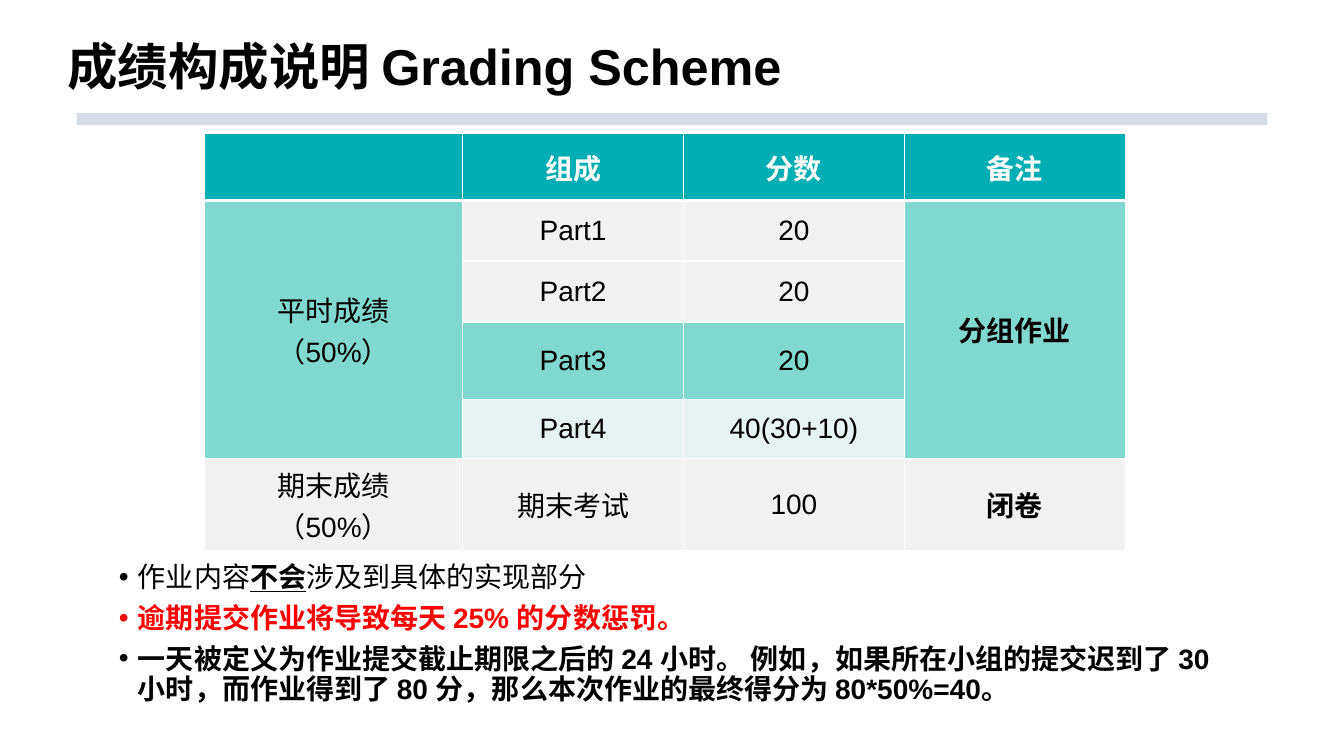
from dataclasses import dataclass

from lxml import etree
from pptx import Presentation
from pptx.dml.color import RGBColor
from pptx.enum import shapes, text
from pptx.oxml import ns
from pptx.util import Inches, Pt


@dataclass(frozen=True)
class Theme:
    """Colours, font and type sizes of the slide."""
    font: str = "Arial"
    title_size: int = 36
    body_size: int = 20
    ink: str = "000000"
    white: str = "FFFFFF"
    warning: str = "FF0000"
    rule: str = "D6DCE5"
    header: str = "00AEB3"
    accent: str = "81D8CF"
    plain: str = "F2F2F2"
    pale: str = "E7F2F2"


THEME = Theme()
COLUMN_WIDTHS = [2.56, 2.19, 2.19, 2.19]
GRADE_ROWS = [
    (0.67, THEME.header, ["", "组成", "分数", "备注"]),
    (0.6, THEME.plain, ["平时成绩\v（50%）", "Part1", "20", "分组作业"]),
    (0.61, THEME.plain, ["", "Part2", "20", ""]),
    (0.76, THEME.accent, ["", "Part3", "20", ""]),
    (0.59, THEME.pale, ["", "Part4", "40(30+10)", ""]),
    (0.91, THEME.plain, ["期末成绩\v（50%）", "期末考试", "100", "闭卷"]),
]
COURSEWORK_ROWS = range(1, 5)
NOTES = [
    (THEME.ink, False, ["作业内容", "不会", "涉及到具体的实现部分"]),
    (THEME.warning, True, ["逾期提交作业将导致每天 25% 的分数惩罚。"]),
    (THEME.ink, True, ["一天被定义为作业提交截止期限之后的 24 小时。 例如，如果所在小组的提交迟到了 30 小时，"
                       "而作业得到了 80 分，那么本次作业的最终得分为 80*50%=40。"]),
]


def style_font(font, size, color, bold=None):
    """Apply the theme font with a size, colour and weight."""
    font.name = THEME.font
    font.size = Pt(size)
    font.color.rgb = RGBColor.from_string(color)
    font.bold = bold


def add_text_frame(slide, left, top, width, height):
    """Add a wrapping text box and return its frame."""
    box = slide.shapes.add_textbox(Inches(left), Inches(top), Inches(width), Inches(height))
    box.text_frame.word_wrap = True
    return box.text_frame


def add_title(slide, left, top, width, height):
    """Place the heading and the rule under it."""
    frame = add_text_frame(slide, left, top, width, height)
    frame.vertical_anchor = text.MSO_ANCHOR.BOTTOM
    paragraph = frame.paragraphs[0]
    paragraph.text = "成绩构成说明 Grading Scheme"
    paragraph.line_spacing = 0.9
    style_font(paragraph.font, THEME.title_size, THEME.ink, True)
    rule = slide.shapes.add_shape(
        shapes.MSO_SHAPE.RECTANGLE, Inches(left + 0.19), Inches(top + height + 0.11),
        Inches(11.81), Inches(0.12))
    rule.shadow.inherit = False
    rule.fill.solid()
    rule.fill.fore_color.rgb = RGBColor.from_string(THEME.rule)
    rule.line.fill.background()


def set_borders(cell, top_width, bottom_width):
    """Draw white borders around a cell."""
    properties = cell._tc.get_or_add_tcPr()
    for side, width in (("L", 1), ("R", 1), ("T", top_width), ("B", bottom_width)):
        line = etree.SubElement(properties, ns.qn(f"a:ln{side}"), w=str(Pt(width)))
        fill = etree.SubElement(line, ns.qn("a:solidFill"))
        etree.SubElement(fill, ns.qn("a:srgbClr"), val=THEME.white)


def add_grade_table(slide, left, top):
    """Place the table of grade components."""
    height = sum(row[0] for row in GRADE_ROWS)
    table = slide.shapes.add_table(
        len(GRADE_ROWS), len(COLUMN_WIDTHS), Inches(left), Inches(top),
        Inches(sum(COLUMN_WIDTHS)), Inches(height)).table
    table.horz_banding = False
    last_column = len(COLUMN_WIDTHS) - 1
    for column, width in zip(table.columns, COLUMN_WIDTHS):
        column.width = Inches(width)
    for row_index, (row_height, row_fill, labels) in enumerate(GRADE_ROWS):
        table.rows[row_index].height = Inches(row_height)
        is_header = row_index == 0
        for column_index, label in enumerate(labels):
            cell = table.cell(row_index, column_index)
            is_outer = column_index in (0, last_column)
            fill = THEME.accent if is_outer and row_index in COURSEWORK_ROWS else row_fill
            set_borders(cell, 3 if row_index == 1 else 1, 3 if is_header else 1)
            cell.fill.solid()
            cell.fill.fore_color.rgb = RGBColor.from_string(fill)
            cell.vertical_anchor = text.MSO_ANCHOR.MIDDLE
            paragraph = cell.text_frame.paragraphs[0]
            paragraph.text = label
            paragraph.alignment = text.PP_ALIGN.CENTER
            style_font(paragraph.font, THEME.body_size,
                       THEME.white if is_header else THEME.ink,
                       is_header or column_index == last_column)
    for column_index in (0, last_column):
        table.cell(COURSEWORK_ROWS[0], column_index).merge(
            table.cell(COURSEWORK_ROWS[-1], column_index))


def add_notes(slide, left, top, width, height):
    """Place the bulleted rules below the table."""
    frame = add_text_frame(slide, left, top, width, height)
    for index, (color, bold, parts) in enumerate(NOTES):
        paragraph = frame.paragraphs[0] if index == 0 else frame.add_paragraph()
        properties = paragraph._p.get_or_add_pPr()
        properties.set("marL", str(Inches(0.19)))
        properties.set("indent", str(-Inches(0.19)))
        paragraph.line_spacing = 0.9
        if index:
            paragraph.space_before = Pt(7.5)
        etree.SubElement(properties, ns.qn("a:buFont"), typeface=THEME.font)
        etree.SubElement(properties, ns.qn("a:buChar"), char="•")
        style_font(paragraph.font, THEME.body_size, color, bold)
        for part_index, part in enumerate(parts):
            run = paragraph.add_run()
            run.text = part
            if part_index == 1:
                run.font.bold = True
                run.font.underline = True


def main():
    """Build and save the grading slide."""
    presentation = Presentation()
    presentation.slide_width = Inches(13.33)
    presentation.slide_height = Inches(7.5)
    slide = presentation.slides.add_slide(presentation.slide_layouts[6])
    add_title(slide, 0.57, 0, 8.86, 1.01)
    add_notes(slide, 1.08, 5.54, 11.17, 1.54)
    add_grade_table(slide, 2.03, 1.32)
    presentation.save("out.pptx")


if __name__ == "__main__":
    main()
